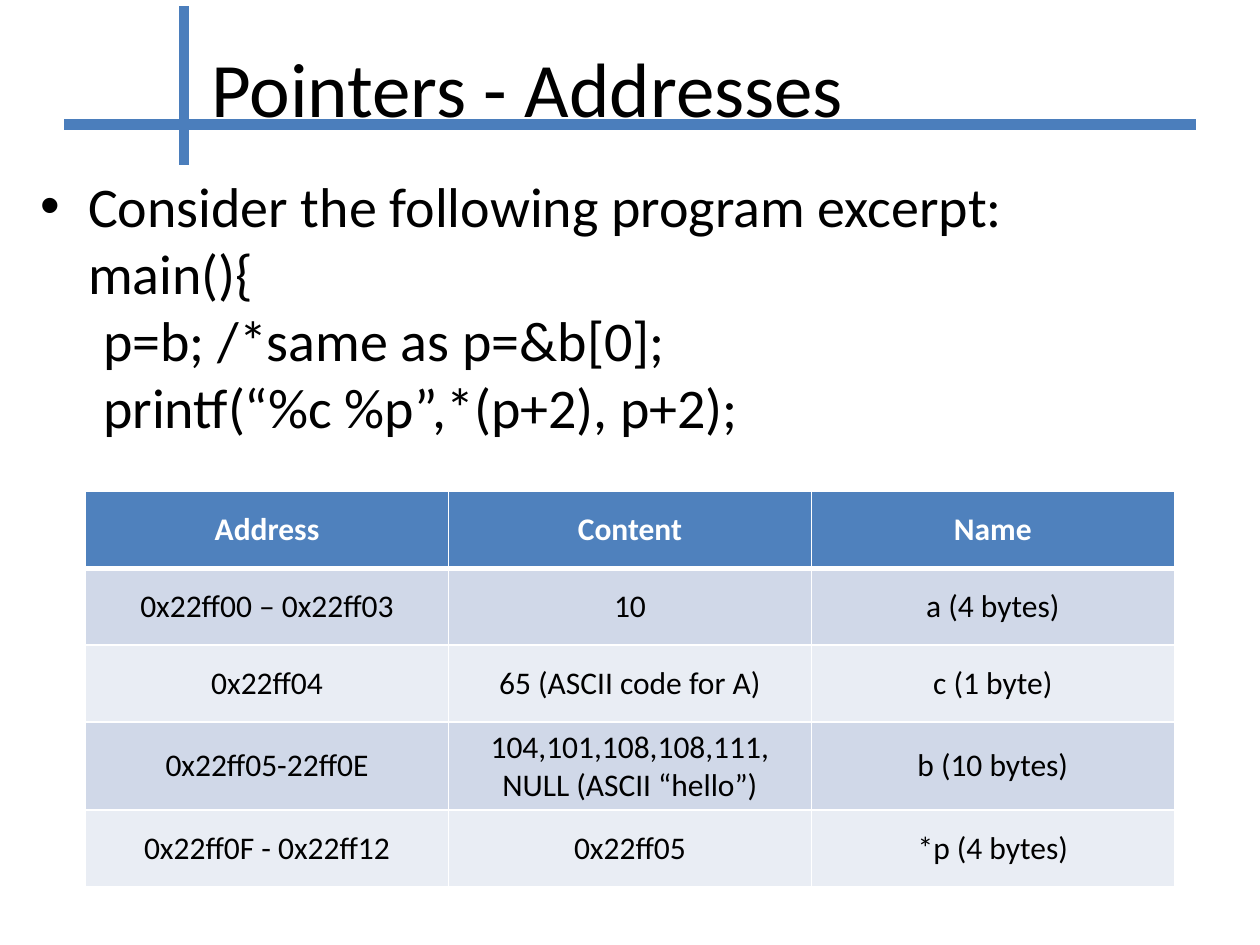
from pptx import Presentation, util as u
from pptx.dml.color import RGBColor
from pptx.enum import shapes, text
from pptx.oxml.ns import qn
from lxml import etree

TITLE = "\tPointers - Addresses"
EXCERPT = [
    "Consider the following program excerpt:",
    "main(){",
    "\tp=b; /*same as p=&b[0];",
    "\tprintf(“%c %p”,*(p+2), p+2);",
]
MEMORY = [
    ("Address", "Content", "Name"),
    ("0x22ff00 – 0x22ff03", "10", "a (4 bytes)"),
    ("0x22ff04", "65 (ASCII code for A)", "c (1 byte)"),
    ("0x22ff05-22ff0E", "104,101,108,108,111, NULL (ASCII “hello”)", "b (10 bytes)"),
    ("0x22ff0F - 0x22ff12", "0x22ff05", "*p (4 bytes)"),
]
RULES = [(0.51, 0.99, 9.49, 0.99), (1.46, 0.05, 1.46, 1.31)]
THEME = {
    "font": "Calibri", "title": 44, "body": 32, "cell": 18, "rule_width": 6,
    "ink": "000000", "paper": "FFFFFF", "rule": "4B7EBC",
    "header": "4F81BD", "bands": ("E9EDF4", "D0D8E8"),
}
COLUMN_WIDTH, ROW_HEIGHT = 2.88, 0.61


def color(name):
    return RGBColor.from_string(name)


def style(paragraph, size, ink, bold=False):
    for span in paragraph.runs:
        span.font.name = THEME["font"]
        span.font.size = u.Pt(size)
        span.font.bold = bold
        span.font.color.rgb = color(ink)


def add_text(page, place, content, size):
    box = page.shapes.add_textbox(*map(u.Inches, place))
    frame = box.text_frame
    frame.word_wrap = True
    frame.text = content
    paragraph = frame.paragraphs[0]
    style(paragraph, size, THEME["ink"])
    return frame, paragraph._p.get_or_add_pPr()


def add_title(page):
    frame, properties = add_text(page, (0.5, 0.06, 9.3, 1.25), TITLE, THEME["title"])
    frame.vertical_anchor = text.MSO_ANCHOR.MIDDLE
    tabs = etree.SubElement(properties, qn("a:tabLst"))
    etree.SubElement(tabs, qn("a:tab"), pos=str(u.Inches(1.08)), algn="l")


def add_excerpt(page):
    _, properties = add_text(page, (0.22, 1.31, 9.55, 2.55), "\v".join(EXCERPT), THEME["body"])
    properties.set("marL", str(u.Inches(0.38)))
    properties.set("indent", str(-u.Inches(0.38)))
    etree.SubElement(properties, qn("a:buFont"), typeface="Arial")
    etree.SubElement(properties, qn("a:buChar"), char="•")


def add_rule(page, ends):
    rule = page.shapes.add_connector(shapes.MSO_CONNECTOR.STRAIGHT, *map(u.Inches, ends))
    rule.line.color.rgb = color(THEME["rule"])
    rule.line.width = u.Pt(THEME["rule_width"])
    etree.SubElement(rule._element.spPr, qn("a:effectLst"))


def set_borders(cell, widths):
    properties = cell._tc.get_or_add_tcPr()
    for index, (side, width) in enumerate(widths.items()):
        line = etree.Element(qn("a:ln" + side), w=str(u.Pt(width)))
        fill = etree.SubElement(line, qn("a:solidFill"))
        etree.SubElement(fill, qn("a:srgbClr"), val=THEME["paper"])
        properties.insert(index, line)


def add_memory_table(page):
    rows, columns = len(MEMORY), len(MEMORY[0])
    place = (0.68, 3.9, COLUMN_WIDTH * columns, ROW_HEIGHT * rows)
    table = page.shapes.add_table(rows, columns, *map(u.Inches, place)).table
    for r, values in enumerate(MEMORY):
        header = r == 0
        fill = THEME["header"] if header else THEME["bands"][r % 2]
        widths = {"L": 1, "R": 1, "T": 3 if r == 1 else 1, "B": 3 if header else 1}
        for c, value in enumerate(values):
            cell = table.cell(r, c)
            cell.text_frame.text = value
            cell.vertical_anchor = text.MSO_ANCHOR.MIDDLE
            cell.fill.solid()
            cell.fill.fore_color.rgb = color(fill)
            set_borders(cell, widths)
            paragraph = cell.text_frame.paragraphs[0]
            paragraph.alignment = text.PP_ALIGN.CENTER
            style(paragraph, THEME["cell"], THEME["paper" if header else "ink"], header)


def main():
    deck = Presentation()
    deck.slide_width, deck.slide_height = u.Inches(10), u.Inches(7.5)
    page = deck.slides.add_slide(deck.slide_layouts[6])
    add_title(page)
    add_excerpt(page)
    for ends in RULES:
        add_rule(page, ends)
    add_memory_table(page)
    deck.save("out.pptx")


if __name__ == "__main__":
    main()
